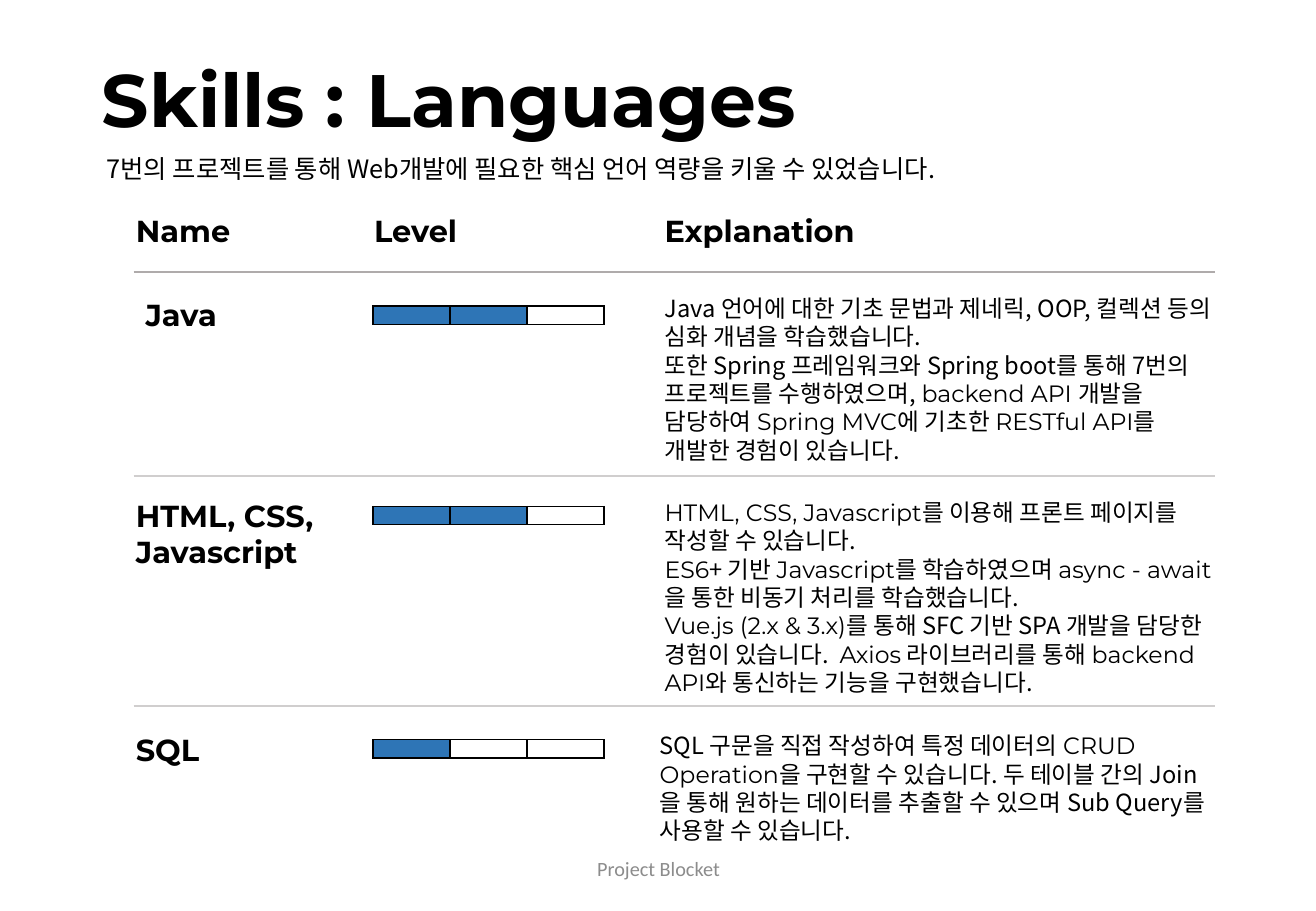
from lxml.etree import SubElement
from pptx import Presentation
from pptx.dml.color import RGBColor
from pptx.enum.shapes import MSO_CONNECTOR
from pptx.enum.text import MSO_ANCHOR as ANCHOR, PP_ALIGN as ALIGN
from pptx.oxml.ns import qn
from pptx.util import Inches, Pt

MONT, NOTO, CALIBRI = "Montserrat", "Noto Sans CJK KR", "Calibri"
BLACK, WHITE, BLUE, GREY = "000000", "FFFFFF", "2E75B6", "8C8C8C"
DARK_RULE, LIGHT_RULE = "AFABAB", "D0CECE"

TITLE = "Skills : Languages"
SUBTITLE = "7번의 프로젝트를 통해 Web개발에 필요한 핵심 언어 역량을 키울 수 있었습니다."
FOOTER = "Project Blocket"
HEADERS = [("Name", 1.02, 0.99), ("Level", 2.98, 0.9), ("Explanation", 5.37, 1.78)]
RULES = [(2.24, DARK_RULE), (3.92, LIGHT_RULE), (5.81, LIGHT_RULE)]
STEPS = 3

SKILLS = [
    dict(name="Java", name_box=(1.1, 2.39, 0.8, 0.4), level=2, level_top=2.52,
         text_box=(5.37, 2.37, 4.72, 1.51), text=[
             [("Java 언어에 대한 기초 문법과 제네릭, OOP, 컬렉션 등의 심화 개념을 학습했습니다.", NOTO)],
             [("또한 Spring 프레임워크와 Spring boot를 통해 7번의 프로젝트를 수행하였으며, ", NOTO),
              ("backend API ", MONT), ("개발을 담당하여 ", NOTO), ("Spring MVC에", MONT),
              (" 기초한 ", NOTO), ("RESTful API", MONT), ("를 개발한 경험이 있습니다.", NOTO)]]),
    dict(name="HTML, CSS, \vJavascript", name_box=(1.02, 4.04, 1.74, 0.71), level=2, level_top=4.17,
         text_box=(5.37, 4.05, 4.72, 1.75), text=[
             [("HTML, CSS, Javascript", MONT), ("를 이용해 프론트 페이지를 작성할 수 있습니다.", NOTO)],
             [("ES6", MONT), ("+ 기반 ", NOTO), ("Javascript", MONT), ("를 학습하였으며 ", NOTO),
              ("async - await", MONT), ("을 통한 비동기 처리를 학습했습니다.", NOTO)],
             [("Vue.js (2.x & 3.x)", MONT),
              ("를 통해 SFC 기반 SPA 개발을 담당한 경험이 있습니다.  ", NOTO), ("Axios", MONT),
              (" 라이브러리를 통해 ", NOTO), ("backend API", MONT),
              ("와 통신하는 기능을 구현했습니다.", NOTO)]]),
    dict(name="SQL", name_box=(1.02, 5.97, 0.73, 0.4), level=1, level_top=6.09,
         text_box=(5.33, 5.97, 4.72, 1.04), text=[
             [("SQL 구문을 직접 작성하여 특정 데이터의 ", NOTO), ("CRUD Operation", MONT),
              ("을 구현할 수 있습니다. 두 테이블 간의 Join을 통해 원하는 데이터를 추출할 수 있으며 "
               "Sub Query를 사용할 수 있습니다.", NOTO)]]),
]


def rgb(color):
    """Turn a hex string into a colour."""
    return RGBColor.from_string(color)


def style_run(r, font, size, color, bold):
    """Set the font of a run for Latin and Korean text."""
    r.font.name, r.font.size, r.font.bold = font, Pt(size), bold
    r.font.color.rgb = rgb(color)
    latin = r.font._element.find(qn("a:latin"))
    ea = latin.makeelement(qn("a:ea"), {"typeface": font})
    latin.addnext(ea)


def add_text(slide, box, paragraphs, size, color=BLACK, bold=False, wrap=True,
             anchor=ANCHOR.TOP, align=ALIGN.LEFT, spacing=None):
    """Add a text box whose paragraphs are lists of (text, font) runs."""
    tf = slide.shapes.add_textbox(*map(Inches, box)).text_frame
    tf.word_wrap, tf.vertical_anchor = wrap, anchor
    for i, runs in enumerate(paragraphs):
        p = tf.add_paragraph() if i else tf.paragraphs[0]
        p.alignment, p.line_spacing = align, spacing
        for text, font in runs:
            for j, line in enumerate(text.split("\v")):
                if j:
                    p.add_line_break()
                r = p.add_run()
                r.text = line
                style_run(r, font, size, color, bold)


def add_label(slide, box, text):
    """Add a bold heading on one unwrapped box."""
    add_text(slide, box, [[(text, MONT)]], 18, bold=True, wrap=False)


def add_level(slide, top, level):
    """Add a one-row table as a level bar with the first cells filled."""
    box = map(Inches, (3.07, top, 1.9, 0.15))
    table = slide.shapes.add_table(1, STEPS, *box).table
    table.first_row = table.horz_banding = False
    for i in range(STEPS):
        cell = table.cell(0, i)
        cell.margin_left = cell.margin_right = cell.margin_top = cell.margin_bottom = 0
        SubElement(cell.text_frame.paragraphs[0]._p, qn("a:endParaRPr"), sz="100")
        tc_pr = cell._tc.get_or_add_tcPr()
        for side in ("lnL", "lnR", "lnT", "lnB"):
            ln = SubElement(tc_pr, qn(f"a:{side}"), w=str(Pt(1)))
            SubElement(SubElement(ln, qn("a:solidFill")), qn("a:srgbClr"), val=BLACK)
        cell.fill.solid()
        cell.fill.fore_color.rgb = rgb(BLUE if i < level else WHITE)


def add_rule(slide, y, color):
    """Add a horizontal rule across the skill rows."""
    ends = map(Inches, (1.1, y, 10, y))
    line = slide.shapes.add_connector(MSO_CONNECTOR.STRAIGHT, *ends)
    line.line.color.rgb, line.line.width = rgb(color), Pt(1.25)
    SubElement(line._element.spPr, qn("a:effectLst"))


def main():
    """Build the skills slide."""
    prs = Presentation()
    prs.slide_width, prs.slide_height = Inches(10.83), Inches(7.5)
    slide = prs.slides.add_slide(prs.slide_layouts[6])
    add_text(slide, (0.74, 0.28, 9.34, 1.14), [[(TITLE, MONT)]], 44, bold=True,
             anchor=ANCHOR.MIDDLE, spacing=0.9)
    add_text(slide, (0.78, 1.21, 9.34, 0.35), [[(SUBTITLE, NOTO)]], 15)
    for text, left, width in HEADERS:
        add_label(slide, (left, 1.7, width, 0.4), text)
    for y, color in RULES:
        add_rule(slide, y, color)
    for skill in SKILLS:
        add_label(slide, skill["name_box"], skill["name"])
        add_level(slide, skill["level_top"], skill["level"])
        add_text(slide, skill["text_box"], skill["text"], 14)
    add_text(slide, (3.59, 6.95, 3.66, 0.4), [[(FOOTER, CALIBRI)]], 12, color=GREY,
             anchor=ANCHOR.MIDDLE, align=ALIGN.CENTER)
    prs.save("out.pptx")


if __name__ == "__main__":
    main()
